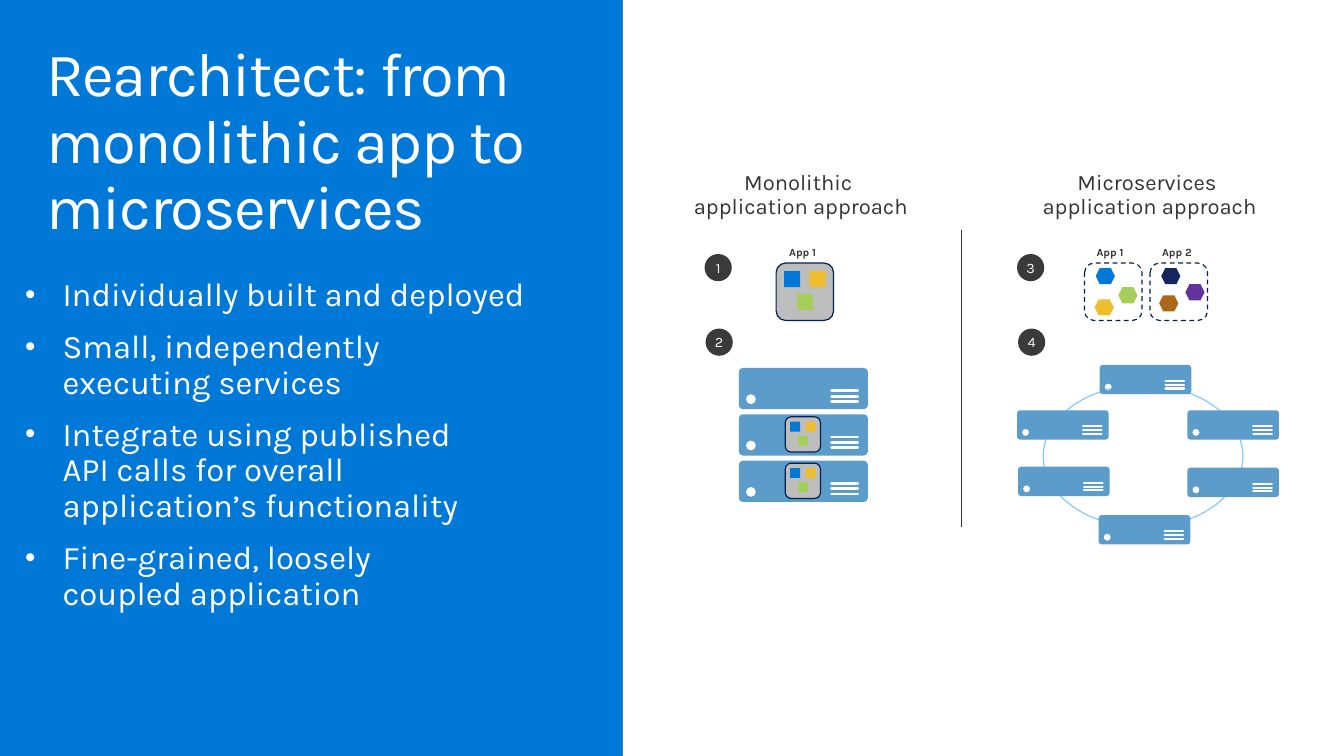
from copy import deepcopy
from math import cos, pi, sin

from lxml import etree
from pptx import Presentation
from pptx.dml.color import RGBColor
from pptx.enum.dml import MSO_LINE
from pptx.enum.shapes import MSO_CONNECTOR, MSO_SHAPE
from pptx.enum.text import MSO_ANCHOR, MSO_AUTO_SIZE, PP_ALIGN
from pptx.oxml.ns import qn
from pptx.util import Emu, Inches, Pt

RECT, ROUNDED, OVAL, HEXAGON = (
    MSO_SHAPE.RECTANGLE, MSO_SHAPE.ROUNDED_RECTANGLE, MSO_SHAPE.OVAL, MSO_SHAPE.HEXAGON)
STRAIGHT, DASH = MSO_CONNECTOR.STRAIGHT, MSO_LINE.DASH
TOP, MIDDLE = MSO_ANCHOR.TOP, MSO_ANCHOR.MIDDLE
LEFT, CENTER = PP_ALIGN.LEFT, PP_ALIGN.CENTER
FIXED, GROW = MSO_AUTO_SIZE.NONE, MSO_AUTO_SIZE.SHAPE_TO_FIT_TEXT

HEIGHT, ROWS = Inches(7.5), 75
WIDTH, COLUMNS = Emu(HEIGHT * 16 // 9), ROWS * 16 / 9
COLORS = {
    "blue": "0078D7", "white": "FFFFFF", "ring": "85C9F6", "server": "5B9CCA",
    "text": "353535", "badge": "3A3A3A", "number": "F8F8F8", "navy": "002050",
    "tile": "BDBDBD", "yellow": "EEBE2C", "green": "A5CE5A", "brown": "AA6818",
    "purple": "62339B", "indigo": "15255E",
}
BULLETS = [
    "Individually built and deployed",
    "Small, independently \vexecuting services",
    "Integrate using published \vAPI calls for overall \vapplication’s functionality",
    "Fine-grained, loosely \vcoupled application",
]
SERVER_WIDTH, SERVER_HEIGHT = 12.8, 4.1
NODE_SCALE = 0.71
CURVE_PULL = 0.55
CURVE_STARTS = (0, 4, 8, 12, 15, 18, 21, 24)
NODES = [(109.1, 36.2), (117.8, 40.7), (117.8, 46.4), (109, 51.1), (101, 46.3), (100.9, 40.7)]
TILE_SQUARES = [("blue", 0.14, 0.14), ("yellow", 0.58, 0.14), ("green", 0.36, 0.54)]
SERVICES = [
    ("blue", 108.7, 26.6), ("green", 110.95, 28.5), ("yellow", 108.6, 29.7),
    ("indigo", 115.2, 26.6), ("purple", 117.6, 28.2), ("brown", 115, 29.3),
]
BADGES = [("1", 69.9, 25.2), ("2", 70, 32.6), ("3", 100.9, 25.2), ("4", 101, 32.6)]


def across(columns):
    return Emu(round(WIDTH * columns / COLUMNS))


def down(rows):
    return Emu(round(HEIGHT * rows / ROWS))


def box(column, row, columns, rows):
    return across(column), down(row), across(columns), down(rows)


def color(name):
    return RGBColor.from_string(COLORS[name])


def apply(target, values):
    for attribute, value in values.items():
        setattr(target, attribute, value)


def paint(figure, fill=None, line=None, dash=None):
    figure.shadow.inherit = False
    if fill:
        figure.fill.solid()
        figure.fill.fore_color.rgb = color(fill)
    else:
        figure.fill.background()
    if line:
        figure.line.color.rgb = color(line)
        apply(figure.line, {"width": Pt(0.85), "dash_style": dash})
    else:
        figure.line.fill.background()
    return figure


def add_figure(shapes, kind, place, **paints):
    return paint(shapes.add_shape(kind, *box(*place)), **paints)


def add_line(shapes, start, end, ink, points, cap="flat"):
    line = shapes.add_connector(
        STRAIGHT, across(start[0]), down(start[1]), across(end[0]), down(end[1]))
    line.line.color.rgb = color(ink)
    line.line.width = Pt(points)
    line.line._get_or_add_ln().set("cap", cap)
    etree.SubElement(line._element.spPr, qn("a:effectLst"))


def write(holder, texts, size, ink, inset=(0, 0), frame=None, paragraph=None,
          bold=False, bulleted=False, tracking=None):
    text_frame = holder.text_frame
    text_frame.text = "\n".join(texts)
    apply(text_frame, {
        "margin_left": Inches(inset[0]), "margin_right": Inches(inset[0]),
        "margin_top": Inches(inset[1]), "margin_bottom": Inches(inset[1]),
        "word_wrap": True, "auto_size": FIXED, "vertical_anchor": TOP, **(frame or {})})
    for index, part in enumerate(text_frame.paragraphs):
        apply(part, {"line_spacing": 0.9, "space_before": Pt(0), **(paragraph or {})})
        if bulleted:
            if index:
                part.space_before = Pt(5.9)
            properties = part._p.get_or_add_pPr()
            for name, length in {"marL": Inches(0.37), "indent": -Inches(0.37)}.items():
                properties.set(name, str(length))
            etree.SubElement(properties, qn("a:buSzPct")).set("val", "90000")
            etree.SubElement(properties, qn("a:buFont")).set("typeface", "Arial")
            etree.SubElement(properties, qn("a:buChar")).set("char", "•")
        for run in part.runs:
            apply(run.font, {"name": "Karla", "size": Pt(size), "bold": bold})
            run.font.color.rgb = color(ink)
            if tracking:
                run._r.get_or_add_rPr().set("spc", str(tracking))
        for line_break in part._p.findall(qn("a:br")):
            line_break.append(deepcopy(part.runs[0]._r.rPr))


def add_label(shapes, text, place, size, inset=(0, 0), align=LEFT, bold=False):
    write(shapes.add_textbox(*box(*place)), [text], size, "text", inset, {"auto_size": GROW},
          {"alignment": align, "space_after": Pt(5.9)}, bold)


def quarter(x, y, radius, turn):
    ux, uy = radius * cos(turn * pi / 2), radius * sin(turn * pi / 2)
    weights = [(1, 0), (1, CURVE_PULL), (CURVE_PULL, 1), (0, 1)]
    return [(across(x + a * ux - b * uy), down(y + a * uy + b * ux)) for a, b in weights]


def bend(outline):
    segments = list(outline._element.iter(qn("a:lnTo")))
    for start in CURVE_STARTS:
        curve = etree.Element(qn("a:cubicBezTo"))
        segments[start].addprevious(curve)
        for segment in segments[start:start + 3]:
            curve.append(segment[0])
            segment.getparent().remove(segment)


def add_server(shapes, column, row, scale=1, stroke=2):
    width, height, radius = (scale * part for part in (SERVER_WIDTH, SERVER_HEIGHT, 0.4))
    left, top = column + radius, row + radius
    right, bottom = column + width - radius, row + height - radius
    corners = [(right, bottom), (left, bottom), (left, top), (right, top)]
    casing = [point for turn, (x, y) in enumerate(corners)
              for point in quarter(x, y, radius, turn)]
    lamp = [quarter(column + 1.2 * scale, row + 3.1 * scale, 0.5 * scale, turn)
            for turn in range(4)]
    builder = shapes.build_freeform(*casing[0])
    builder.add_line_segments(casing[1:])
    builder.move_to(*lamp[0][0])
    builder.add_line_segments([point for curve in lamp for point in curve[1:]])
    outline = paint(builder.convert_to_shape(), fill="server")
    bend(outline)
    for slot in (2.25, 2.8, 3.3):
        y = row + slot * scale
        add_line(shapes, (column + 9.2 * scale, y), (column + 11.8 * scale, y),
                 "white", stroke, "rnd")


def add_app_tile(shapes, column, row, side):
    add_figure(shapes, ROUNDED, (column, row, side, side), fill="tile", line="navy")
    for fill, x, y in TILE_SQUARES:
        place = (column + x * side, row + y * side, 0.28 * side, 0.28 * side)
        add_figure(shapes, RECT, place, fill=fill)


def add_monolith(shapes):
    add_label(shapes, "Monolithic \vapplication approach", (63.5, 15.4, 31.9, 7.9),
              15.7, (0.2, 0.16), CENTER)
    add_label(shapes, "App 1", (78.3, 24.5, 3.3, 1.2), 7.8, bold=True)
    add_app_tile(shapes.add_group_shape().shapes, 77, 26.1, 5.7)
    for level in range(3):
        row = 36.5 + 4.6 * level
        server = shapes.add_group_shape().shapes
        add_server(server, 73.3, row)
        if level:
            add_app_tile(server, 77.9, row + 0.25, 3.5)


def add_microservices(shapes):
    cluster = shapes.add_group_shape().shapes
    add_figure(cluster, OVAL, (103.5, 38.2, 19.8, 14.1), line="ring")
    for column, row in NODES:
        add_server(cluster, column, row, NODE_SCALE, 1.5)
    add_label(shapes, "Microservices \vapplication approach", (96.9, 15.4, 34.3, 7.9),
              15.7, (0.2, 0.16), CENTER)
    for index, name in enumerate(("App 1", "App 2")):
        column = 107.6 + 6.5 * index
        add_figure(shapes, ROUNDED, (column, 26.1, 5.7, 5.7), line="navy", dash=DASH)
        add_label(shapes, name, (column + 1.2, 24.5, 3.3, 1.2), 7.8, bold=True)
    for fill, column, row in SERVICES:
        add_figure(shapes, HEXAGON, (column, row, 1.9, 1.6), fill=fill)


def main():
    deck = Presentation()
    apply(deck, {"slide_width": WIDTH, "slide_height": HEIGHT})
    slide = deck.slides.add_slide(deck.slide_layouts[1])
    slide.background.fill.solid()
    slide.background.fill.fore_color.rgb = color("blue")
    shapes = slide.shapes
    title, body = shapes.title, slide.placeholders[1]
    for holder, place in ((title, (3, 3.3, 58.7, 9.8)), (body, (0.9, 26.6, 57.7, 35.4))):
        apply(holder, dict(zip(("left", "top", "width", "height"), box(*place))))
    write(title, ["Rearchitect: from monolithic app to microservices"], 44, "white",
          (0.16, 0.1), paragraph={"alignment": LEFT}, tracking=-100)
    write(body, BULLETS, 23.5, "white", (0.16, 0.1), {"auto_size": GROW},
          {"space_after": Pt(5.9)}, bulleted=True)

    add_figure(shapes, RECT, (61.8, 0, COLUMNS - 61.8, ROWS), fill="white")
    add_monolith(shapes)
    add_line(shapes, (95.4, 22.8), (95.4, 52.3), "text", 1.25)
    add_microservices(shapes)
    for number, column, row in BADGES:
        badge = add_figure(shapes, OVAL, (column, row, 2.7, 2.7), fill="badge")
        write(badge, [number], 10.3, "number", (0, 0.05), {"vertical_anchor": MIDDLE},
              {"alignment": CENTER, "line_spacing": 1.0})
    deck.save("out.pptx")


if __name__ == "__main__":
    main()
